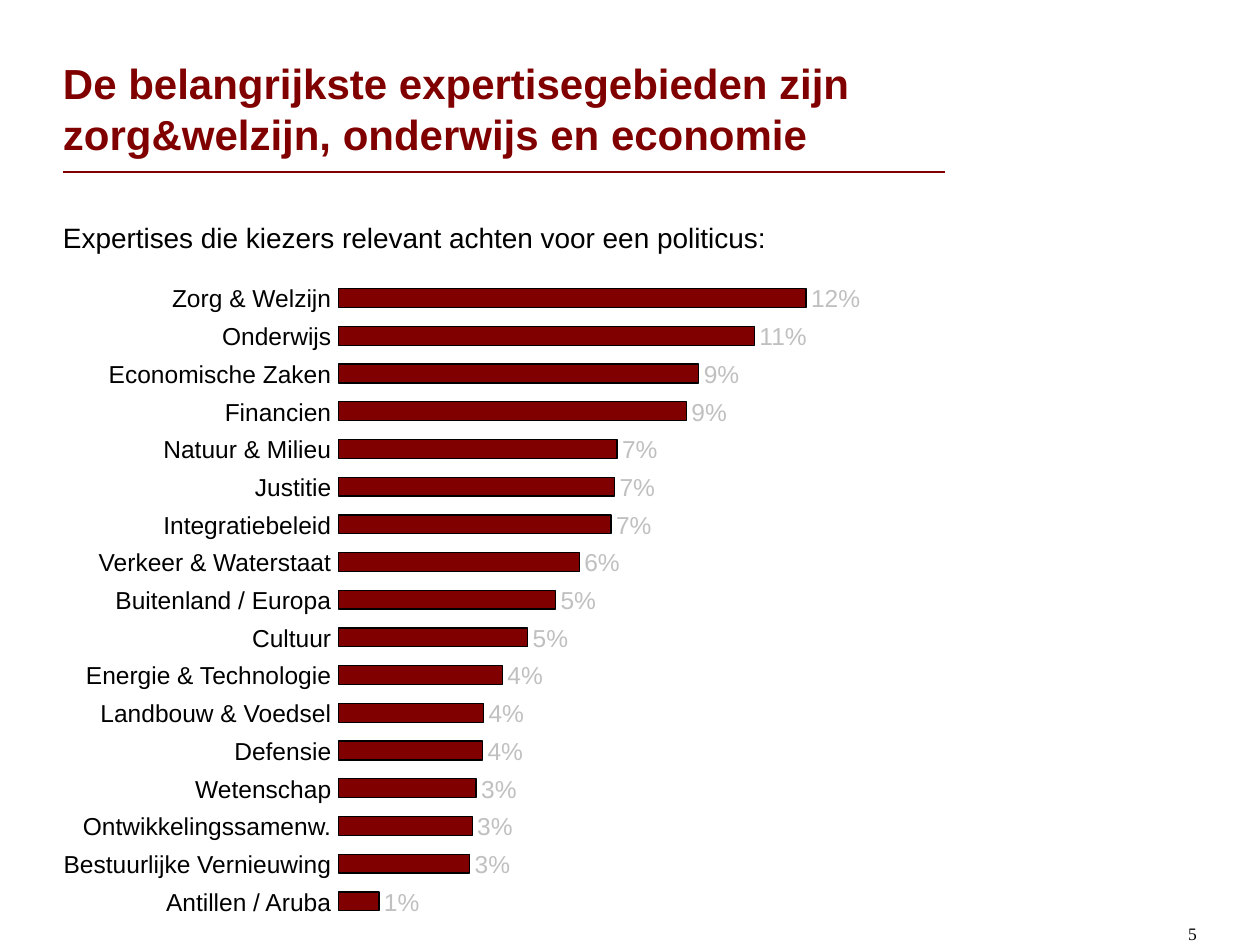
import dataclasses

import pptx
import pptx.dml.color
import pptx.enum.shapes
import pptx.enum.text
import pptx.util
from lxml import etree

Cm = pptx.util.Cm
Pt = pptx.util.Pt
Align = pptx.enum.text.PP_ALIGN
Anchor = pptx.enum.text.MSO_ANCHOR
AutoSize = pptx.enum.text.MSO_AUTO_SIZE

COLOURS = {"maroon": "800000", "black": "000000", "silver": "C0C0C0"}
MARGIN = 1.27
CONTENT_WIDTH = 17.78
RULE_TOP = 3.47
BAR_LEFT, BAR_TOP, BAR_HEIGHT = 6.83, 5.82, 0.38
ROW_PITCH = 0.76
LABEL_RIGHT, LABEL_TOP, LABEL_HEIGHT = 6.68, 5.72, 0.58
VALUE_GAP = 0.1


@dataclasses.dataclass
class Expertise:
    label: str
    label_width: float
    bar_width: float
    value: str


@dataclasses.dataclass
class TextStyle:
    size: int
    colour: str = "black"
    font: str = "Arial"
    bold: bool = False
    align: Align = Align.LEFT
    anchor: Anchor = Anchor.MIDDLE
    wrap: bool = True


EXPERTISES = [
    Expertise("Zorg & Welzijn", 3.25, 9.42, "12%"),
    Expertise("Onderwijs", 2.25, 8.38, "11%"),
    Expertise("Economische Zaken", 4.55, 7.26, "9%"),
    Expertise("Financien", 2.2, 7.01, "9%"),
    Expertise("Natuur & Milieu", 3.45, 5.61, "7%"),
    Expertise("Justitie", 1.6, 5.56, "7%"),
    Expertise("Integratiebeleid", 3.45, 5.49, "7%"),
    Expertise("Verkeer & Waterstaat", 4.75, 4.85, "6%"),
    Expertise("Buitenland / Europa", 4.4, 4.37, "5%"),
    Expertise("Cultuur", 1.65, 3.81, "5%"),
    Expertise("Energie & Technologie", 5.05, 3.3, "4%"),
    Expertise("Landbouw & Voedsel", 4.7, 2.92, "4%"),
    Expertise("Defensie", 2.0, 2.9, "4%"),
    Expertise("Wetenschap", 2.8, 2.77, "3%"),
    Expertise("Ontwikkelingssamenw.", 5.05, 2.69, "3%"),
    Expertise("Bestuurlijke Vernieuwing", 5.45, 2.64, "3%"),
    Expertise("Antillen / Aruba", 3.4, 0.81, "1%"),
]

TITLE = TextStyle(24, "maroon", bold=True, anchor=Anchor.BOTTOM)
SUBTITLE = TextStyle(16, anchor=Anchor.TOP)
LABEL = TextStyle(14, align=Align.RIGHT, wrap=False)
VALUE = TextStyle(14, "silver", wrap=False)
PAGE_NUMBER = TextStyle(10, font="Times New Roman", align=Align.RIGHT, anchor=Anchor.BOTTOM)


def colour(name: str) -> pptx.dml.color.RGBColor:
    return pptx.dml.color.RGBColor.from_string(COLOURS[name])


def add_text(shapes, text: str, left: float, top: float, width: float,
             height: float, style: TextStyle) -> None:
    box = shapes.add_textbox(Cm(left), Cm(top), Cm(width), Cm(height))
    frame = box.text_frame
    frame.margin_left = frame.margin_right = frame.margin_top = frame.margin_bottom = 0
    frame.word_wrap = style.wrap
    frame.auto_size = AutoSize.NONE if style.wrap else AutoSize.SHAPE_TO_FIT_TEXT
    frame.vertical_anchor = style.anchor
    para = frame.paragraphs[0]
    para.text = text
    para.alignment = style.align
    para.font.size = Pt(style.size)
    para.font.name = style.font
    para.font.bold = style.bold
    para.font.color.rgb = colour(style.colour)


def add_bar(shapes, top: float, width: float) -> None:
    bar = shapes.add_shape(pptx.enum.shapes.MSO_SHAPE.RECTANGLE,
                           Cm(BAR_LEFT), Cm(top), Cm(width), Cm(BAR_HEIGHT))
    bar.shadow.inherit = False
    bar.fill.solid()
    bar.fill.fore_color.rgb = colour("maroon")
    bar.line.color.rgb = colour("black")
    bar.line.width = Pt(0.75)


def add_title_rule(page) -> None:
    rule = page.shapes.add_connector(pptx.enum.shapes.MSO_CONNECTOR.STRAIGHT, Cm(MARGIN),
                                     Cm(RULE_TOP), Cm(MARGIN + CONTENT_WIDTH), Cm(RULE_TOP))
    rule.line.color.rgb = colour("maroon")
    rule.line.width = Pt(1)
    etree.SubElement(rule._element.spPr, pptx.oxml.ns.qn("a:effectLst"))


def add_expertise(shapes, row: int, expertise: Expertise) -> None:
    offset = row * ROW_PITCH
    text_top = LABEL_TOP + offset
    add_bar(shapes, BAR_TOP + offset, expertise.bar_width)
    add_text(shapes, expertise.value, BAR_LEFT + expertise.bar_width + VALUE_GAP, text_top,
             1.0 if len(expertise.value) == 3 else 0.73, LABEL_HEIGHT, VALUE)
    add_text(shapes, expertise.label, LABEL_RIGHT - expertise.label_width, text_top,
             expertise.label_width, LABEL_HEIGHT, LABEL)


def main() -> None:
    deck = pptx.Presentation()
    deck.slide_width, deck.slide_height = Cm(25.4), Cm(19.05)
    page = deck.slides.add_slide(deck.slide_layouts[6])
    add_title_rule(page)
    add_text(page.shapes,
             "De belangrijkste expertisegebieden zijn zorg&welzijn, onderwijs en economie",
             MARGIN, 0.63, CONTENT_WIDTH, 2.57, TITLE)
    chart_group = page.shapes.add_group_shape()
    for row, expertise in enumerate(EXPERTISES):
        add_expertise(chart_group.shapes, row, expertise)
    add_text(page.shapes, "Expertises die kiezers relevant achten voor een politicus:",
             MARGIN, 4.45, CONTENT_WIDTH, 0.69, SUBTITLE)
    add_text(page.shapes, "5", 18.21, 17.77, 5.92, 1.27, PAGE_NUMBER)
    deck.save("out.pptx")


if __name__ == "__main__":
    main()
